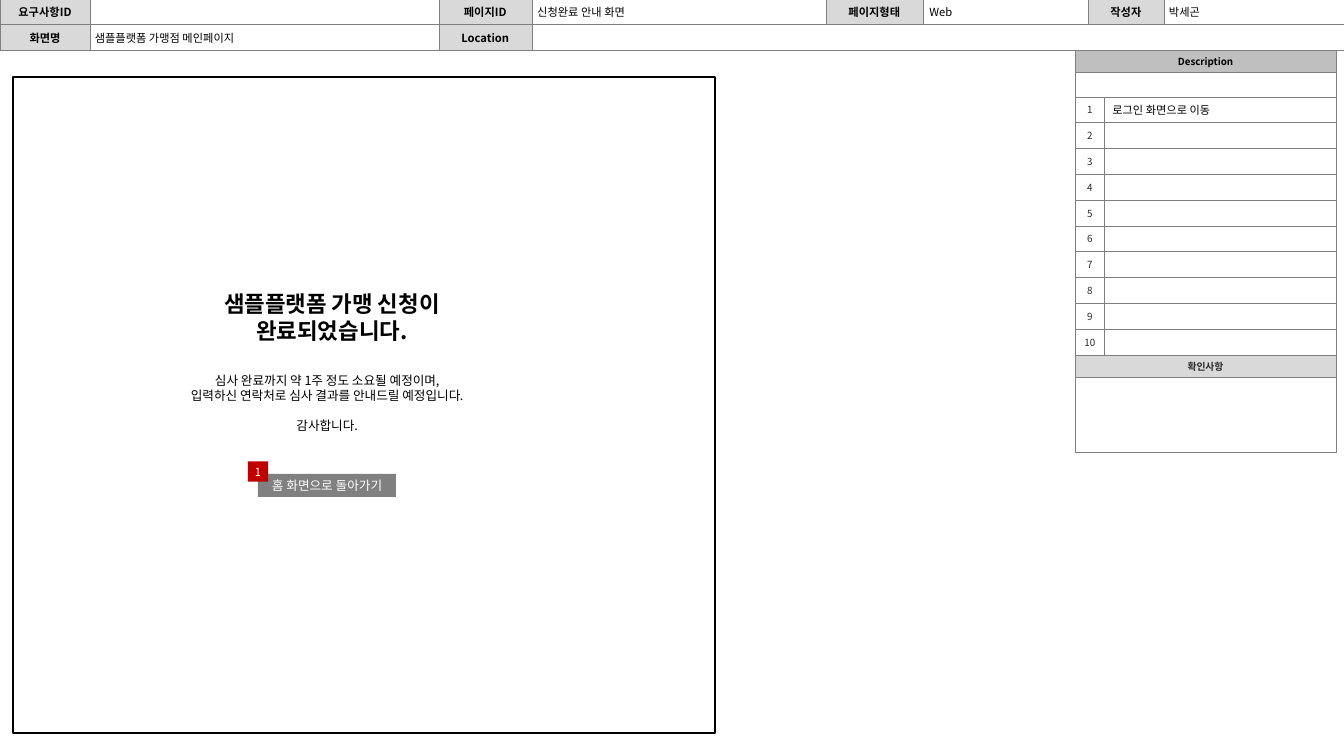
"""Build a storyboard page for the application-complete screen of a franchise site."""
import pptx
import pptx.dml.color
import pptx.enum.shapes
import pptx.enum.text
import pptx.oxml
import pptx.oxml.ns
import pptx.util

Cm = pptx.util.Cm
Pt = pptx.util.Pt
RGB = pptx.dml.color.RGBColor.from_string
ALIGN = pptx.enum.text.PP_ALIGN
MIDDLE = pptx.enum.text.MSO_ANCHOR.MIDDLE
RECTANGLE = pptx.enum.shapes.MSO_SHAPE.RECTANGLE
FONT = "Noto Sans CJK KR"
COLORS = {
    "black": "000000", "white": "FFFFFF", "number": "292929", "label": "D9D9D9",
    "heading": "BFBFBF", "border": "7F7F7F", "button": "808080", "marker": "C00000",
}


def write(frame, text, size, color="black", bold=False, align=ALIGN.CENTER):
    """Put lines of text into a frame, one paragraph a line."""
    frame.text = text
    for para in frame.paragraphs:
        para.alignment = align
        para.font.name = FONT
        para.font.size = Pt(size)
        para.font.bold = bold
        para.font.color.rgb = RGB(COLORS[color])
        defaults = para._p.pPr.find(pptx.oxml.ns.qn("a:defRPr"))
        defaults.append(pptx.oxml.parse_xml(
            f'<a:ea {pptx.oxml.ns.nsdecls("a")} typeface="{FONT}"/>'))
        if not para.text:
            para._p.get_or_add_endParaRPr().set("sz", str(size * 100))


def add_grid(left, top, widths, heights, size):
    """Add a plain white table with thin borders."""
    grid = page.shapes.add_table(len(heights), len(widths), Cm(left), Cm(top),
                                 Cm(sum(widths)), Cm(sum(heights))).table
    grid.first_row = grid.horz_banding = False
    for column, width in zip(grid.columns, widths):
        column.width = Cm(width)
    for row, height in zip(grid.rows, heights):
        row.height = Cm(height)
    for cell in grid.iter_cells():
        for side in ("lnL", "lnR", "lnT", "lnB"):
            cell._tc.get_or_add_tcPr().append(pptx.oxml.parse_xml(
                f'<a:{side} {pptx.oxml.ns.nsdecls("a")} w="3175"><a:solidFill>'
                f'<a:srgbClr val="{COLORS["border"]}"/></a:solidFill></a:{side}>'))
        cell.fill.solid()
        cell.fill.fore_color.rgb = RGB(COLORS["white"])
        cell.margin_left = cell.margin_right = cell.margin_top = cell.margin_bottom = 0
        cell.vertical_anchor = MIDDLE
        write(cell.text_frame, "", size)
    return grid


deck = pptx.Presentation()
deck.slide_width, deck.slide_height = Cm(33.87), Cm(19.05)
page = deck.slides.add_slide(deck.slide_layouts[6])

header = add_grid(0, -0.03, [2.27, 8.79, 2.34, 7.41, 2.45, 4.16, 1.91, 4.59], [0.65] * 2, 8)
header.cell(1, 3).merge(header.cell(1, 7))
header_labels = [["요구사항ID", "페이지ID", "페이지형태", "작성자"], ["화면명", "Location"]]
for row, labels in enumerate(header_labels):
    for index, label in enumerate(labels):
        cell = header.cell(row, index * 2)
        cell.fill.fore_color.rgb = RGB(COLORS["label"])
        write(cell.text_frame, label, 8, bold=True)

header_values = [
    (13.44, 0, 7.41, "신청완료 안내 화면"),
    (23.32, 0, 4.16, "Web"),
    (29.36, 0, 4.5, "박세곤"),
    (2.29, 0.65, 8.69, "샘플플랫폼 가맹점 메인페이지"),
]
for left, top, width, value in header_values:
    box = page.shapes.add_textbox(Cm(left), Cm(top), Cm(width), Cm(0.6))
    frame = box.text_frame
    frame.word_wrap = True
    frame.vertical_anchor = MIDDLE
    frame.margin_left = Cm(0.1)
    frame.margin_right = frame.margin_top = frame.margin_bottom = 0
    write(frame, value, 8, align=ALIGN.LEFT)

notes = add_grid(27.1, 1.27, [0.73, 5.83], [0.56, 0.61] + [0.65] * 10 + [0.56, 1.9], 7)
for row in (0, 1, 12, 13):
    notes.cell(row, 0).merge(notes.cell(row, 1))
for row, heading, fill, color in ((0, "Description", "heading", "black"),
                                  (12, "확인사항", "label", "number")):
    cell = notes.cell(row, 0)
    cell.fill.fore_color.rgb = RGB(COLORS[fill])
    write(cell.text_frame, heading, 7, color, bold=True)
for number in range(1, 11):
    write(notes.cell(number + 1, 0).text_frame, str(number), 7, "number")
first_note = notes.cell(2, 1)
first_note.margin_left = Cm(0.2)
write(first_note.text_frame, "로그인 화면으로 이동", 8, align=ALIGN.LEFT)

messages = [
    (3.4, 7.19, 9.93, 1.63, 16, True, "샘플플랫폼 가맹 신청이\n완료되었습니다."),
    (3.43, 9.27, 9.63, 1.8, 9, False,
     "심사 완료까지 약 1주 정도 소요될 예정이며,\n"
     "입력하신 연락처로 심사 결과를 안내드릴 예정입니다.\n감사합니다."),
]
for left, top, width, height, size, bold, text in messages:
    box = page.shapes.add_textbox(Cm(left), Cm(top), Cm(width), Cm(height))
    box.text_frame.word_wrap = True
    write(box.text_frame, text, size, bold=bold)
box.text_frame.paragraphs[-1].space_before = Pt(10.8)

blocks = [
    (6.5, 11.94, 3.48, 0.58, "button", "홈 화면으로 돌아가기", 9),
    (6.25, 11.63, 0.51, 0.51, "marker", "1", 8),
]
for left, top, width, height, fill, text, size in blocks:
    block = page.shapes.add_shape(RECTANGLE, Cm(left), Cm(top), Cm(width), Cm(height))
    block.shadow.inherit = False
    block.fill.solid()
    block.fill.fore_color.rgb = RGB(COLORS[fill])
    block.line.fill.background()
    frame = block.text_frame
    frame.margin_left = frame.margin_right = frame.margin_top = frame.margin_bottom = 0
    frame.vertical_anchor = MIDDLE
    write(frame, text, size, "white")

screen = page.shapes.add_shape(RECTANGLE, Cm(0.33), Cm(1.94), Cm(17.7), Cm(16.54))
screen.shadow.inherit = False
screen.fill.background()
screen.line.color.rgb = RGB(COLORS["black"])
screen.line.width = Pt(1.5)

deck.save("out.pptx")
